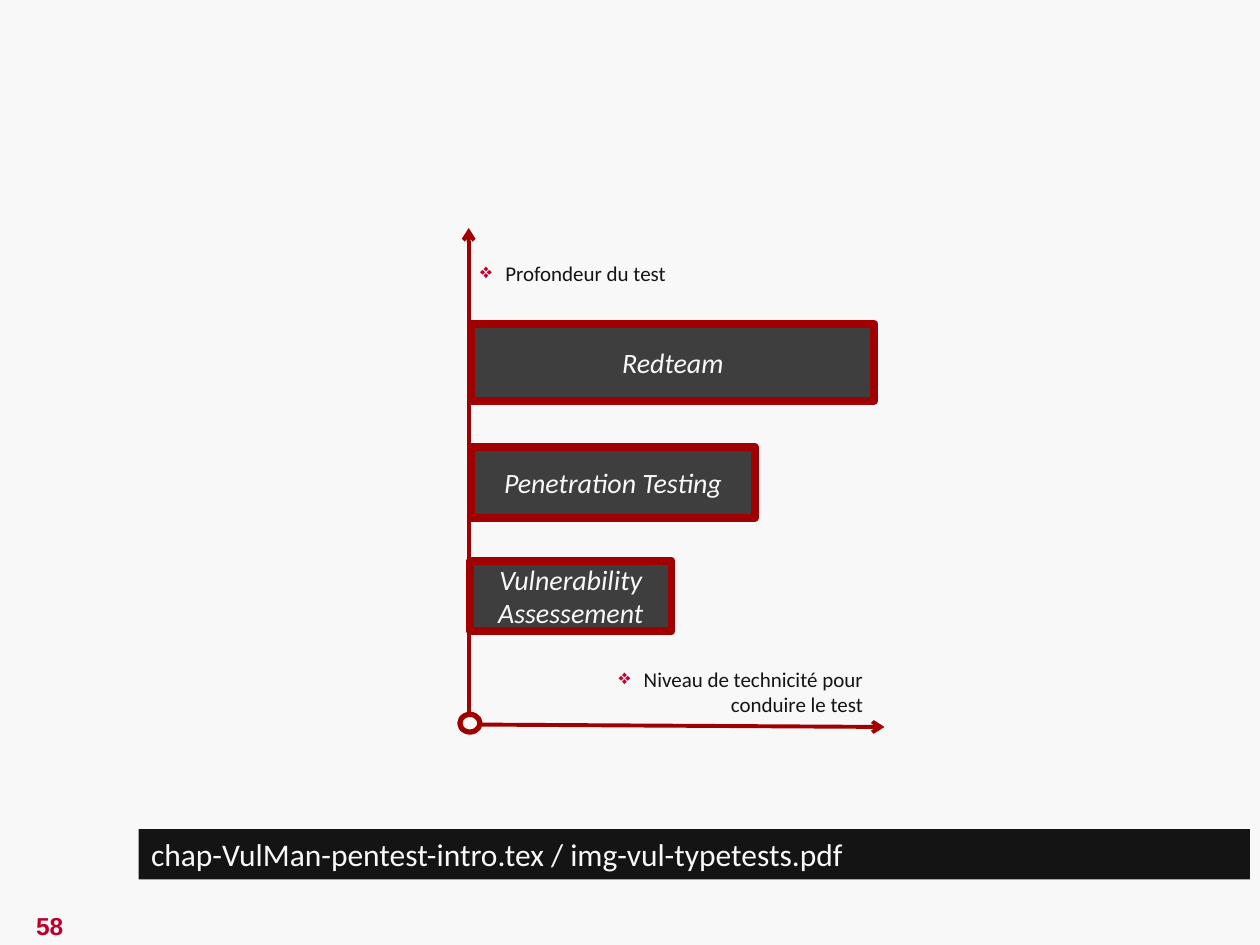
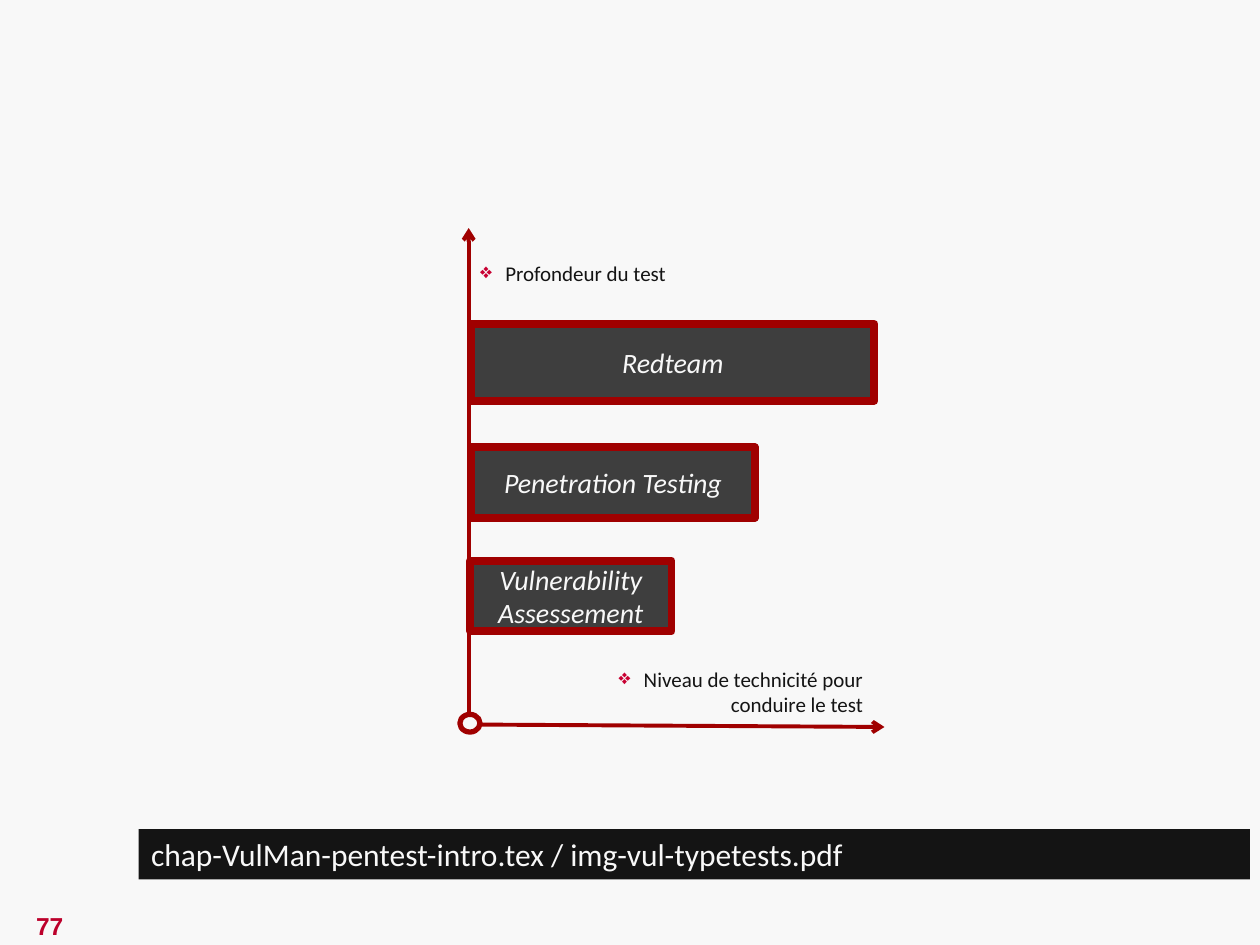
from pptx import Presentation
from pptx.dml.color import RGBColor
from pptx.enum import shapes, text
from pptx.oxml.ns import qn
from pptx.util import Inches, Pt
from lxml import etree

PAPER = RGBColor(0xF8, 0xF8, 0xF8)
INK = RGBColor(0x14, 0x14, 0x14)
GRAY = RGBColor(0x3E, 0x3E, 0x3E)
RED = RGBColor(0xA0, 0x00, 0x00)
MARK = RGBColor(0xC8, 0x00, 0x32)
PAGE = RGBColor(0xBC, 0x00, 0x2B)

SHAPE = shapes.MSO_SHAPE
ALIGN = text.PP_ALIGN
ANCHOR = text.MSO_ANCHOR

BARS = [
    ("Redteam", 3.74, 2.57, 3.2, 0.61),
    ("Penetration Testing", 3.74, 3.55, 2.25, 0.56),
    ("Vulnerability Assessement", 3.73, 4.45, 1.6, 0.56),
]
SOURCE = "chap-VulMan-pentest-intro.tex / img-vul-typetests.pdf"


def add(parent, tag, **attrs):
    return etree.SubElement(parent, qn(tag), attrs)


class Deck:
    def __init__(self):
        self.prs = Presentation()
        self.prs.slide_width = Inches(10)
        self.prs.slide_height = Inches(7.5)
        self.slide = None

    def start(self, number):
        """Open a blank slide and give it its page number."""
        self.slide = self.prs.slides.add_slide(self.prs.slide_layouts[6])
        fill = self.slide.background.fill
        fill.solid()
        fill.fore_color.rgb = PAPER
        frame = self.box(-0.02, 7.18, 0.83, 0.34, 0.1, 0.05)
        frame.vertical_anchor = ANCHOR.MIDDLE
        self.put(frame, str(number), 14, PAGE, ALIGN.CENTER, "Arial", bold=True)

    def box(self, left, top, width, height, side, edge):
        """Add a text box with the given side and top/bottom insets."""
        item = self.slide.shapes.add_textbox(
            Inches(left), Inches(top), Inches(width), Inches(height))
        frame = item.text_frame
        frame.word_wrap = True
        frame.margin_left = frame.margin_right = Inches(side)
        frame.margin_top = frame.margin_bottom = Inches(edge)
        return frame

    def put(self, frame, words, size, color, align, face="Calibri",
            bold=False, slant=False):
        """Fill the first paragraph, one run a line."""
        para = frame.paragraphs[0]
        para.alignment = align
        for i, line in enumerate(words.split("\n")):
            if i:
                para.add_line_break()
            run = para.add_run()
            run.text = line
            font = run.font
            font.name, font.size = face, Pt(size)
            font.bold, font.italic = bold, slant
            font.color.rgb = color

    def shape(self, kind, left, top, width, height, fill, weight=0):
        item = self.slide.shapes.add_shape(
            kind, Inches(left), Inches(top), Inches(width), Inches(height))
        item.shadow.inherit = False
        item.fill.solid()
        item.fill.fore_color.rgb = fill
        if weight:
            item.line.color.rgb = RED
            item.line.width = Pt(weight)
        else:
            item.line.fill.background()
        return item

    def bar(self, words, left, top, width, height):
        item = self.shape(SHAPE.ROUNDED_RECTANGLE, left, top, width, height, GRAY, 4.5)
        item.adjustments[0] = 0
        self.put(item.text_frame, words, 16, PAPER, ALIGN.CENTER, slant=True)

    def axis(self, x1, y1, x2, y2):
        line = self.slide.shapes.add_connector(
            shapes.MSO_CONNECTOR.STRAIGHT,
            Inches(x1), Inches(y1), Inches(x2), Inches(y2))
        line.line.color.rgb = RED
        line.line.width = Pt(2.25)
        props = line._element.spPr
        add(props.find(qn("a:ln")), "a:tailEnd", type="arrow")
        add(props, "a:effectLst")

    def label(self, words, left, top, height, align):
        """Name an axis with a bulleted caption."""
        frame = self.box(left, top, 2.81, height, 0.07, 0.04)
        props = frame.paragraphs[0]._p.get_or_add_pPr()
        props.set("marL", str(Inches(0.2)))
        props.set("indent", str(Inches(-0.2)))
        add(add(props, "a:buClr"), "a:srgbClr", val=str(MARK))
        add(props, "a:buChar", char="❖")
        self.put(frame, words, 12, INK, align)

    def footer(self, words):
        band = self.shape(SHAPE.RECTANGLE, 1.1, 6.58, 8.82, 0.4, INK)
        self.put(band.text_frame, words, 18, PAPER, ALIGN.LEFT)


def main():
    deck = Deck()
    for number in (58, 77):
        deck.start(number)
        deck.axis(3.71, 5.75, 7.02, 5.77)
        deck.axis(3.72, 5.75, 3.72, 1.81)
        for bar in BARS:
            deck.bar(*bar)
        deck.label("Profondeur du test", 3.74, 2.03, 0.29, ALIGN.LEFT)
        deck.label("Niveau de technicité pour\nconduire le test",
                   4.11, 5.25, 0.53, ALIGN.RIGHT)
        deck.shape(SHAPE.OVAL, 3.65, 5.67, 0.16, 0.14, PAPER, 3)
        deck.footer(SOURCE)
    deck.prs.save("out.pptx")


if __name__ == "__main__":
    main()
